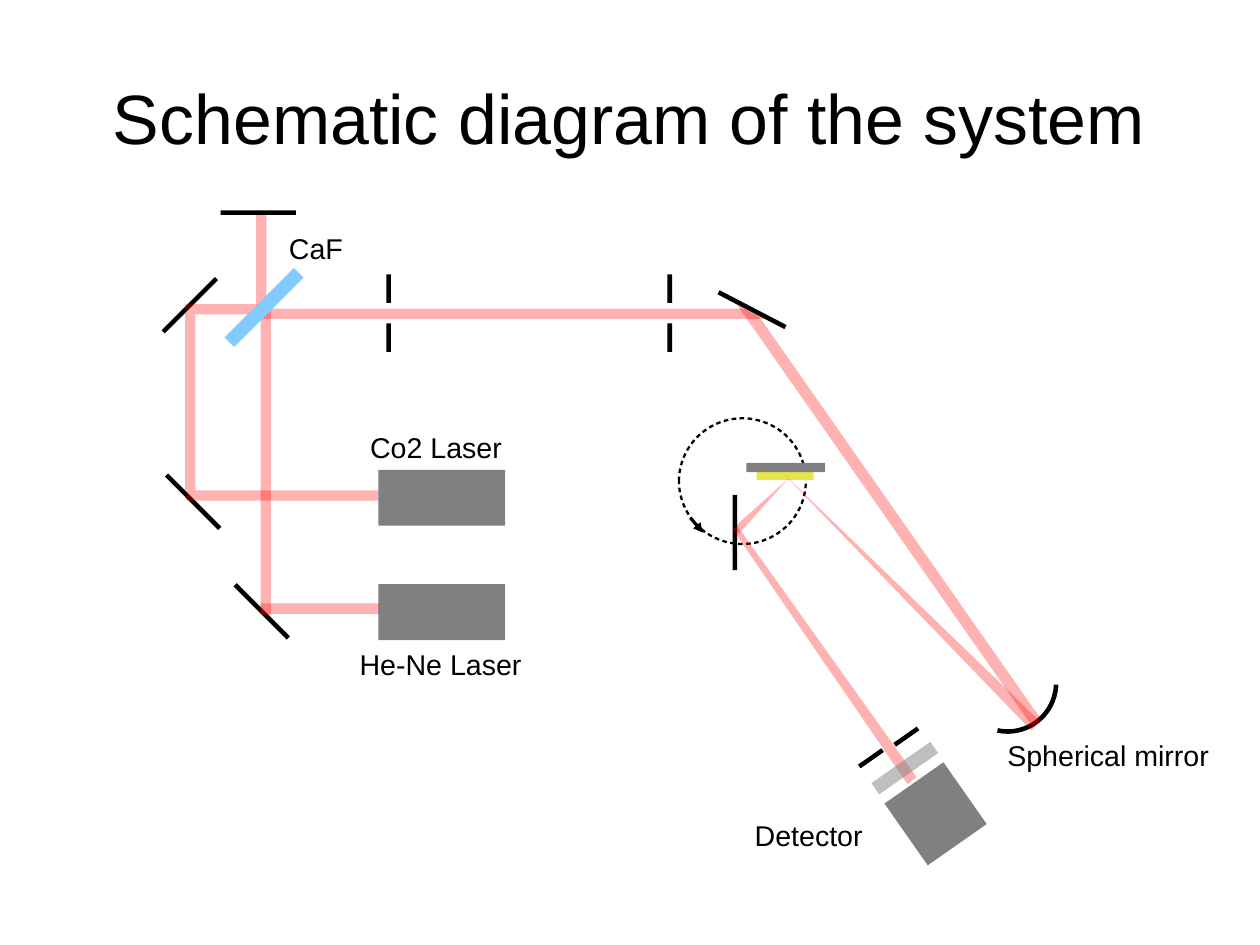
from itertools import product

from lxml.etree import SubElement
from pptx import Presentation
from pptx.dml.color import RGBColor
from pptx.enum.shapes import MSO_CONNECTOR, MSO_SHAPE
from pptx.enum.text import MSO_ANCHOR, MSO_AUTO_SIZE, PP_ALIGN
from pptx.oxml.ns import qn
from pptx.util import Inches, Pt

BLACK, GREY, WHITE = "000000", "808080", "FFFFFF"
RED, BLUE, YELLOW = "FF0000", "83CAFF", "E6E64C"
RECT, WEDGE = MSO_SHAPE.RECTANGLE, MSO_SHAPE.FLOWCHART_EXTRACT
MIRROR = 0.66, 0.04
SLIT = 0.04, 0.25
BEAM = 0.09

# Left, top, width, height
LASERS = [(3.31, top, 1.11, 0.49) for top in (4.11, 5.11)]
# Centre x, centre y, turn
BACK_MIRRORS = [(2.26, 1.86, 0), (2.29, 5.35, 45), (1.69, 4.39, 45),
                (1.66, 2.67, 135)]
FRONT_MIRRORS = [(6.43, 4.66, 90), (6.58, 2.71, 27.5)]
# Left, top, turn
SLITS = [(x, y, 0) for x, y in product((3.38, 5.84), (2.4, 2.83))]
SLITS += [(7.6, 6.51, 55), (7.91, 6.32, 55)]
# Box, turn, outline
SLOPED_BEAMS = [((7.9, 3.68, 0.11, 3.13), 315, WEDGE),
                ((6.63, 4.1, 0.07, 0.64), 45, WEDGE),
                ((7.69, 2.11, 0.1, 4.63), 325, RECT)]
LEFT_BEAMS = [(1.62, 2.66, 0.66, BEAM), (2.28, 2.7, BEAM, 2.68),
              (2.28, 5.28, 1.04, BEAM), (1.63, 4.29, 1.68, BEAM),
              (1.62, 2.75, BEAM, 1.54)]
EXIT_BEAM = [(8.02, 6.8), (7.94, 6.86), (6.41, 4.63), (6.45, 4.6)]
LABELS = [("He-Ne Laser", (2.87, 5.69, 1.97, 0.24)),
          ("Co2 Laser", (2.83, 3.79, 1.97, 0.24)),
          ("CaF", (1.78, 2.05, 1.97, 0.24)),
          ("Detector", (6.13, 7.19, 1.89, 0.24)),
          ("Spherical mirror", (8.75, 6.49, 1.89, 0.24))]


def color(code):
    return RGBColor.from_string(code)


def assign(item, values):
    for name, value in values.items():
        setattr(item, name, value)


def paint(shape, code, alpha=None):
    """Fill a shape without outline; alpha is opacity in percent."""
    shape.shadow.inherit = False
    shape.line.fill.background()
    shape.fill.solid()
    shape.fill.fore_color.rgb = color(code)
    if alpha:
        tone = shape.fill._xPr.find(qn("a:solidFill"))[0]
        SubElement(tone, qn("a:alpha"), val=str(alpha * 1000))


def block(slide, box, code, turn=0, kind=RECT, alpha=None):
    shape = slide.shapes.add_shape(kind, *map(Inches, box))
    shape.rotation = turn
    paint(shape, code, alpha)


def beam(slide, box, turn=0, kind=RECT):
    block(slide, box, RED, turn, kind, 30)


def mirror(slide, x, y, turn):
    wide, high = MIRROR
    block(slide, (x - wide / 2, y - high / 2, wide, high), BLACK, turn)


def ring(slide, kind, box, width):
    """Add an unfilled black outline."""
    shape = slide.shapes.add_shape(kind, *map(Inches, box))
    shape.shadow.inherit = False
    shape.fill.background()
    shape.line.color.rgb = color(BLACK)
    shape.line.width = Pt(width)
    return shape


def dash(shape):
    style = SubElement(shape.line._get_or_add_ln(), qn("a:custDash"))
    SubElement(style, qn("a:ds"), d="200000", sp="150000")


def arrow(slide, start, end):
    line = slide.shapes.add_connector(
        MSO_CONNECTOR.STRAIGHT, *map(Inches, start + end))
    line.line.color.rgb = color(BLACK)
    line.line.width = Pt(0)
    SubElement(line.line._get_or_add_ln(), qn("a:tailEnd"), type="triangle")
    SubElement(line._element.spPr, qn("a:effectLst"))


def write(shape, text, size, frame):
    assign(shape.text_frame, {"vertical_anchor": MSO_ANCHOR.MIDDLE,
                              "auto_size": MSO_AUTO_SIZE.NONE, **frame})
    para = shape.text_frame.paragraphs[0]
    para.alignment = PP_ALIGN.CENTER
    run = para.add_run()
    run.text = text
    assign(run.font, {"name": "Arial", "size": Pt(size)})
    run.font.color.rgb = color(BLACK)


def head(slide, text):
    title = slide.shapes.title
    sides = "left", "top", "width", "height"
    assign(title, dict(zip(sides, map(Inches, (0.55, 0.33, 9.92, 1.38)))))
    edges = ("margin_left", "margin_top", "margin_right", "margin_bottom")
    write(title, text, 44, {"word_wrap": True, **dict.fromkeys(edges, 0)})


def label(slide, text, box):
    shape = slide.shapes.add_textbox(*map(Inches, box))
    write(shape, text, 18, {"word_wrap": False})


def stage(slide):
    """Draw the turning stage and the curved mirror."""
    dash(ring(slide, MSO_SHAPE.OVAL, (5.94, 3.66, 1.11, 1.1), 1.45))
    arrow(slide, (6.04, 4.53), (6.15, 4.66))
    curve = ring(slide, MSO_SHAPE.ARC, (8.39, 5.55, 0.85, 0.85), 2.89)
    for index, angle in enumerate((2, 102)):
        curve.adjustments[index] = angle * 0.6


def exit_beam(slide):
    first, *rest = [tuple(map(Inches, point)) for point in EXIT_BEAM]
    pen = slide.shapes.build_freeform(*first)
    pen.add_line_segments(rest, close=True)
    paint(pen.convert_to_shape(), RED, 30)


def main():
    deck = Presentation()
    # The page is 28 by 21 centimetres
    deck.slide_width = Inches(28 / 2.54)
    deck.slide_height = Inches(21 / 2.54)
    slide = deck.slides.add_slide(deck.slide_layouts[5])
    head(slide, "Schematic diagram of the system")
    stage(slide)
    beam(slide, (2.24, 1.88, BEAM, 0.85))
    for box in LASERS:
        block(slide, box, GREY)
    block(slide, (7.87, 6.79, 0.63, 0.66), GREY, 145)
    for spot in BACK_MIRRORS:
        mirror(slide, *spot)
    for x, y, turn in SLITS:
        block(slide, (x, y, *SLIT), BLACK, turn)
    block(slide, (6.62, 4.13, 0.5, 0.07), YELLOW)
    block(slide, (6.53, 4.05, 0.69, 0.08), GREY)
    for box, turn, kind in SLOPED_BEAMS:
        beam(slide, box, turn, kind)
    beam(slide, (2.28, 2.7, 4.48, BEAM))
    # White wedge trims the beams behind the tilted mirror
    block(slide, (5.82, 2.33, 1.62, 0.86), WHITE, 180,
          MSO_SHAPE.RIGHT_TRIANGLE)
    for box in LEFT_BEAMS:
        beam(slide, box)
    block(slide, (2.25, 2.26, 0.12, 0.86), BLUE, 225)
    for spot in FRONT_MIRRORS:
        mirror(slide, *spot)
    exit_beam(slide)
    block(slide, (7.6, 6.66, 0.63, 0.12), GREY, 145, alpha=50)
    for text, box in LABELS:
        label(slide, text, box)
    deck.save("out.pptx")


if __name__ == "__main__":
    main()
